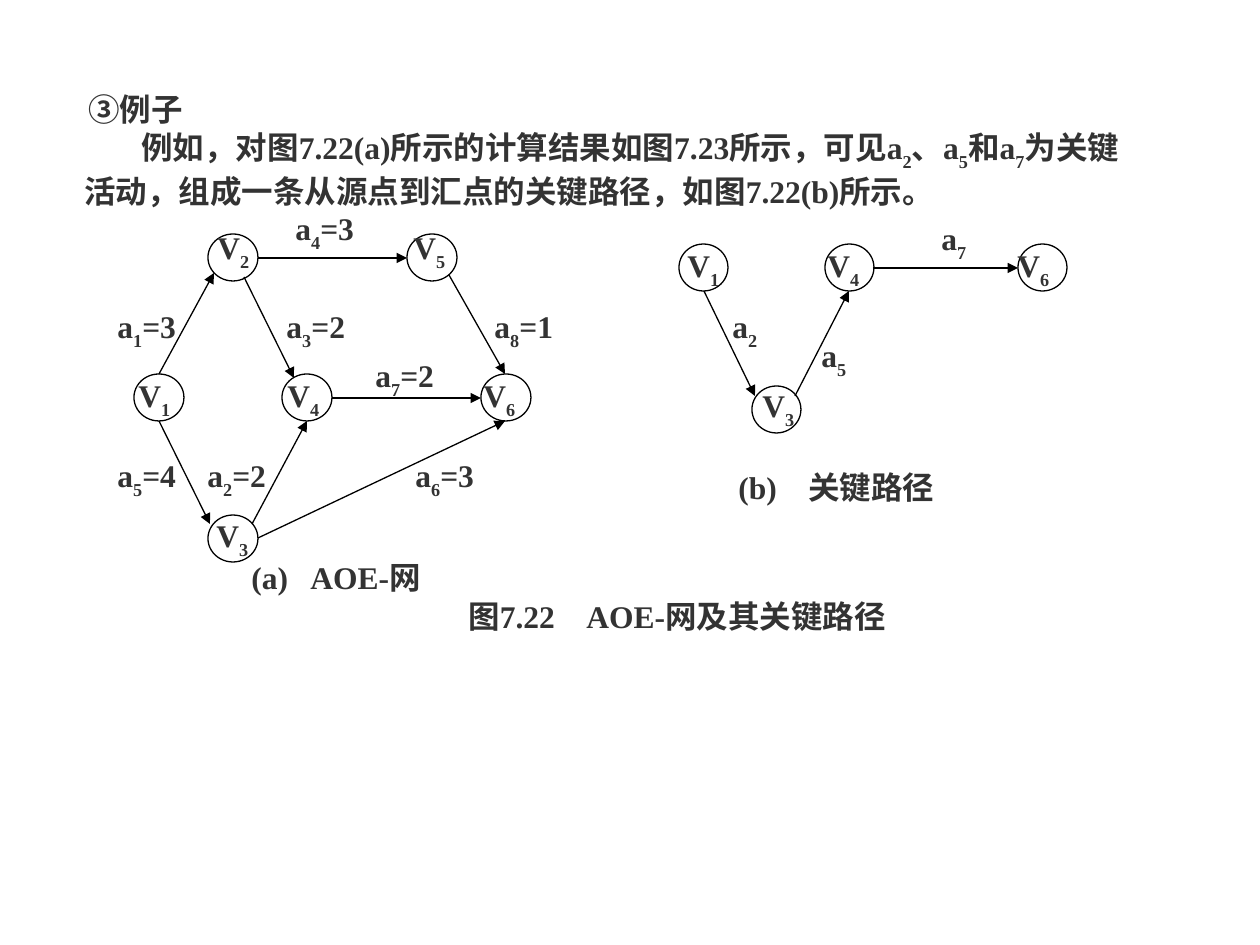
from dataclasses import dataclass
from typing import NamedTuple

from lxml import etree
from pptx import Presentation
from pptx import util as u
from pptx.dml.color import RGBColor
from pptx.enum import shapes, text
from pptx.oxml.ns import qn

EMU_PER_PX = 914400 / 126


@dataclass(frozen=True)
class Theme:
    ink: RGBColor = RGBColor(0x33, 0x33, 0x33)
    line: RGBColor = RGBColor(0, 0, 0)
    paper: RGBColor = RGBColor(255, 255, 255)
    font: str = "Times New Roman"
    size: u.Pt = u.Pt(18)
    line_width: u.Pt = u.Pt(0.75)


THEME = Theme()
RUN_FORMAT = {"name": THEME.font, "size": THEME.size, "bold": True}
FRAME_FORMAT = {"word_wrap": False, "auto_size": text.MSO_AUTO_SIZE.NONE}


class Para(NamedTuple):
    """Text where _ lowers the next character, with a first-line indent."""
    words: str
    indent: int = 0


class Label(NamedTuple):
    x: int
    y: int
    w: int
    h: int
    paras: tuple[Para, ...]
    tabs: tuple[int, ...] = ()
    anchor: text.MSO_ANCHOR = text.MSO_ANCHOR.MIDDLE


class Edge(NamedTuple):
    x1: int
    y1: int
    x2: int
    y2: int


class Graph(NamedTuple):
    node_size: tuple[int, int]
    nodes: tuple[tuple[int, int], ...]
    edges: tuple[Edge, ...]
    labels: tuple[Label, ...]


def px(n: float) -> u.Emu:
    return u.Emu(round(n * EMU_PER_PX))


def row(x: int, y: int, w: int, words: str, *tabs: int) -> Label:
    """A line of graph labels, spread by tab stops."""
    return Label(x, y, w, 58, (Para(words),), tabs)


def caption(x: int, y: int, w: int, words: str, tab: int) -> Label:
    return Label(x, y, w, 50, (Para(words),), (tab,), text.MSO_ANCHOR.TOP)


def add_run(p, words: str, lowered: bool = False) -> None:
    if not words:
        return
    r = p.add_run()
    r.text = words
    for name, value in RUN_FORMAT.items():
        setattr(r.font, name, value)
    r.font.color.rgb = THEME.ink
    if lowered:
        r.font._element.set("baseline", "-30000")


def add_label(parent, label: Label) -> None:
    sp = parent.add_textbox(*map(px, label[:4]))
    tf = sp.text_frame
    for name, value in FRAME_FORMAT.items():
        setattr(tf, name, value)
    tf.vertical_anchor = label.anchor
    for i, para in enumerate(label.paras):
        p = tf.add_paragraph() if i else tf.paragraphs[0]
        p.alignment = text.PP_ALIGN.LEFT
        p_pr = p._p.get_or_add_pPr()
        if para.indent:
            p_pr.set("indent", str(px(para.indent)))
        if label.tabs:
            stops = etree.SubElement(p_pr, qn("a:tabLst"))
            for pos in label.tabs:
                etree.SubElement(stops, qn("a:tab"), pos=str(px(pos)), algn="l")
        first, *rest = para.words.split("_")
        add_run(p, first)
        for part in rest:
            add_run(p, part[0], lowered=True)
            add_run(p, part[1:])


def add_node(parent, x: int, y: int, size: tuple[int, int]) -> None:
    sp = parent.add_shape(shapes.MSO_SHAPE.OVAL, *map(px, (x, y, *size)))
    sp.shadow.inherit = False
    sp.fill.solid()
    sp.fill.fore_color.rgb = THEME.paper
    sp.line.color.rgb = THEME.line
    sp.line.width = THEME.line_width


def add_edge(parent, edge: Edge) -> None:
    sp = parent.add_connector(shapes.MSO_CONNECTOR.STRAIGHT, *map(px, edge))
    sp.line.color.rgb = THEME.line
    sp.line.width = THEME.line_width
    etree.SubElement(sp.line._get_or_add_ln(), qn("a:tailEnd"), type="triangle")
    etree.SubElement(sp._element.spPr, qn("a:effectLst"))


def add_graph(s, graph: Graph) -> None:
    group = s.shapes.add_group_shape().shapes
    for x, y in graph.nodes:
        add_node(group, x, y, graph.node_size)
    for edge in graph.edges:
        add_edge(group, edge)
    for label in graph.labels:
        add_label(group, label)


# Explanation and captions
TEXTS = (
    Label(72, 83, 1135, 134, (
        Para("③例子", 4),
        Para("例如，对图7.22(a)所示的计算结果如图7.23所示，可见a_2、a_5和a_7为关键", 57),
        Para("活动，组成一条从源点到汇点的关键路径，如图7.22(b)所示。"),
    )),
    caption(456, 591, 448, "图7.22\tAOE-网及其关键路径", 118),
    caption(239, 552, 203, "(a)\tAOE-网", 59),
    caption(726, 462, 220, "(b)\t关键路径", 70),
)

# (a) the whole network
NETWORK = Graph(
    (50, 47),
    ((208, 234), (407, 234), (282, 374), (481, 374), (134, 374), (208, 515)),
    (
        Edge(332, 398, 481, 398),
        Edge(252, 524, 307, 421),
        Edge(159, 421, 210, 524),
        Edge(258, 258, 407, 258),
        Edge(159, 374, 214, 273),
        Edge(244, 277, 294, 378),
        Edge(449, 275, 505, 374),
        Edge(258, 538, 505, 421),
    ),
    (
        row(363, 349, 83, "a_7=2"),
        row(283, 202, 83, "a_4=3"),
        row(205, 221, 254, "V_2\tV_5", 196),
        row(105, 300, 460, "a_1=3\ta_3=2\ta_8=1", 169, 377),
        row(126, 369, 404, "V_1\tV_4\tV_6", 149, 345),
        row(105, 449, 382, "a_5=4\ta_2=2\ta_6=3", 90, 298),
        row(204, 509, 57, "V_3"),
    ),
)

# (b) the critical path
CRITICAL_PATH = Graph(
    (49, 47),
    ((825, 244), (1018, 244), (679, 244), (752, 386)),
    (
        Edge(873, 268, 1018, 268),
        Edge(795, 396, 849, 291),
        Edge(704, 291, 755, 396),
    ),
    (
        row(929, 212, 50, "a_7"),
        row(809, 329, 50, "a_5"),
        row(675, 239, 388, "V_1\tV_4\tV_6", 140, 330),
        row(720, 300, 50, "a_2"),
        row(750, 379, 57, "V_3"),
    ),
)


def main() -> None:
    prs = Presentation()
    prs.slide_width, prs.slide_height = px(1260), px(945)
    s = prs.slides.add_slide(prs.slide_layouts[6])
    for label in TEXTS:
        add_label(s.shapes, label)
    for graph in (NETWORK, CRITICAL_PATH):
        add_graph(s, graph)
    prs.save("out.pptx")


if __name__ == "__main__":
    main()
